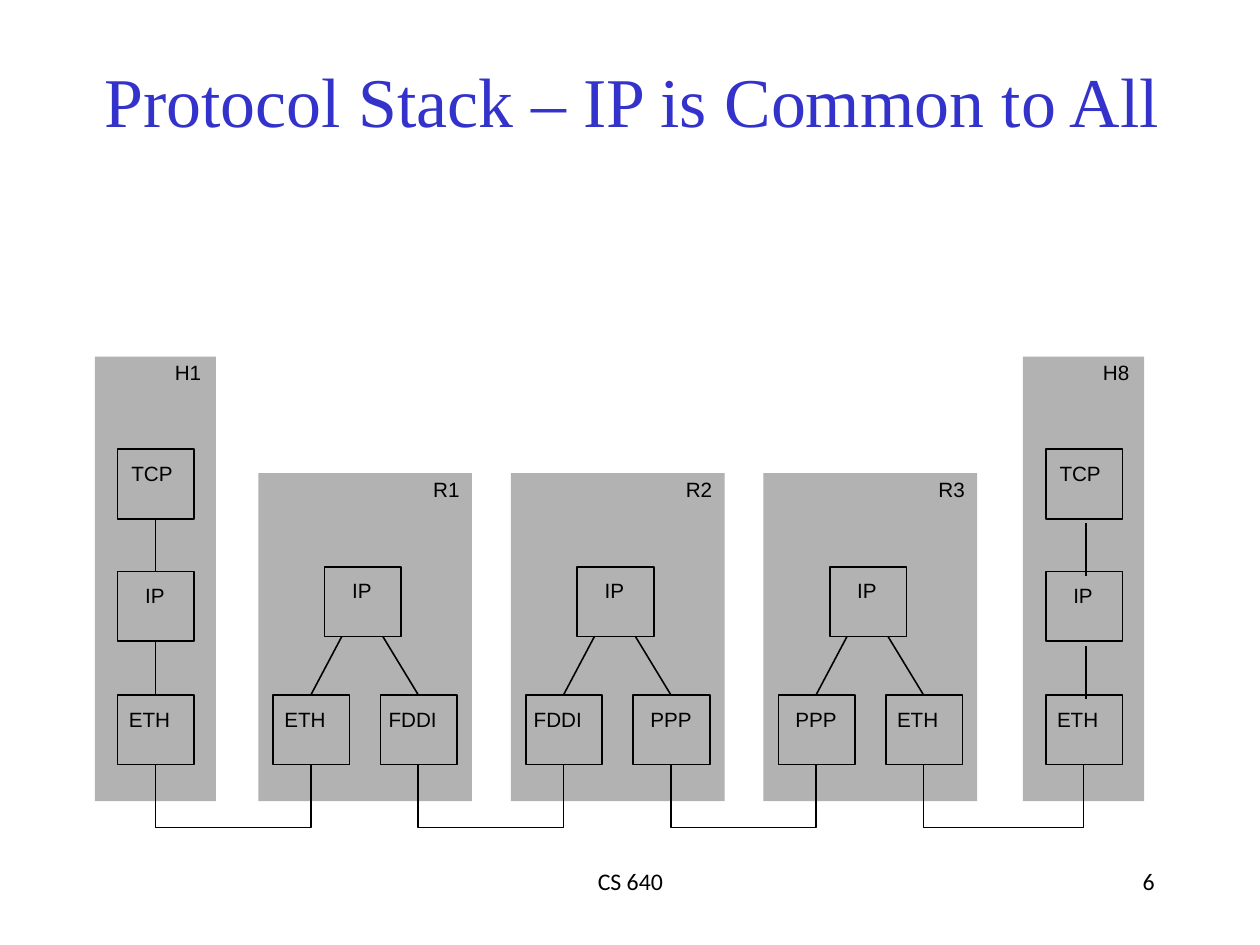
from itertools import pairwise

from lxml.etree import SubElement
from pptx import Presentation
from pptx.dml.color import RGBColor
from pptx.enum.shapes import MSO_CONNECTOR as CONN, MSO_SHAPE as SHAPE
from pptx.enum.text import MSO_ANCHOR as ANCHOR, PP_ALIGN as ALIGN
from pptx.oxml.ns import qn
from pptx.util import Mm, Pt

# Content: name, left edge, shift of the wires between layers
TITLE = "Protocol Stack – IP is Common to All "
LAYERS = ["TCP", "IP", "ETH"]
HOSTS = [("H1", 83, 0, 0), ("H8", 895, 2, 4)]
ROUTERS = [("R1", "ETH", "FDDI"), ("R2", "FDDI", "PPP"), ("R3", "PPP", "ETH")]
FOOTERS = [("CS 640", (377, 753, 349, 55), ALIGN.CENTER),
           ("6", (790, 753, 230, 55), ALIGN.RIGHT)]

COLORS = {"title": "3333CC", "text": "000000", "line": "000000", "panel": "B2B2B2"}
FORMATS = {
    "title": {"name": "Times New Roman", "size": Pt(44)},
    "label": {"name": "Arial", "size": Pt(13)},
    "footer": {"name": "Calibri", "size": Pt(15)},
}

# Layout, 100 px to the inch, on a 280 by 210 mm slide
PX = 9144
SLIDE_W, SLIDE_H = Mm(280), Mm(210)
BOX_W, BOX_H = 67, 61
LABEL_INDENT = {"TCP": 12, "IP": 24, "ETH": 10, "FDDI": 7, "PPP": 15}
HOST_TOP, HOST_W, HOST_BOX_X = 312, 106, 20
HOST_ROWS = [393, 500, 608]
ROUTER_LEFT, ROUTER_STEP, ROUTER_TOP, ROUTER_W = 226, 221, 414, 187
ROUTER_IP, ROUTER_PORTS = (58, 496), (13, 107)
PORT_CENTERS, IP_FEET = (46, 140), (73, 109)
PANEL_BOTTOM, CABLE_TOP, CABLE_BOTTOM = 701, 669, 724


def color(name):
    return RGBColor.from_string(COLORS[name])


def write(sp, text, style, align, insets, ink="text", anchor=ANCHOR.TOP):
    """Put one line of text in sp; insets are left, top, right, bottom in px."""
    tf = sp.text_frame
    frame = {"word_wrap": True, "vertical_anchor": anchor}
    sides = ("margin_left", "margin_top", "margin_right", "margin_bottom")
    frame.update(zip(sides, (n * PX for n in insets)))
    for key, value in frame.items():
        setattr(tf, key, value)
    p = tf.paragraphs[0]
    p.alignment = align
    r = p.add_run()
    r.text = text
    for key, value in FORMATS[style].items():
        setattr(r.font, key, value)
    r.font.color.rgb = color(ink)


def outline(sp):
    sp.line.color.rgb = color("line")
    sp.line.width = Pt(1)


def add_rect(x, y, w, h):
    sp = s.shapes.add_shape(SHAPE.RECTANGLE, *(n * PX for n in (x, y, w, h)))
    sp.shadow.inherit = False
    return sp


def add_panel(name, x, y, w, inset):
    sp = add_rect(x, y, w, PANEL_BOTTOM - y)
    sp.fill.solid()
    sp.fill.fore_color.rgb = color("panel")
    sp.line.fill.background()
    write(sp, name, "label", ALIGN.RIGHT, (0, 3, inset, 0))


def add_layer(name, x, y):
    sp = add_rect(x, y, BOX_W, BOX_H)
    sp.fill.background()
    outline(sp)
    write(sp, name, "label", ALIGN.LEFT, (LABEL_INDENT[name], 10, 0, 0))


def add_wire(x1, y1, x2, y2):
    sp = s.shapes.add_connector(CONN.STRAIGHT, *(n * PX for n in (x1, y1, x2, y2)))
    outline(sp)
    SubElement(sp._element.spPr, qn("a:effectLst"))


def add_cable(x1, x2):
    fb = s.shapes.build_freeform(x1, CABLE_TOP, scale=PX)
    fb.add_line_segments([(x1, CABLE_BOTTOM), (x2, CABLE_BOTTOM), (x2, CABLE_TOP)],
                         close=False)
    sp = fb.convert_to_shape()
    sp.shadow.inherit = False
    sp.fill.background()
    outline(sp)


def add_host(name, x, dx, dy):
    add_panel(name, x, HOST_TOP, HOST_W, 13)
    for layer, y in zip(LAYERS, HOST_ROWS):
        add_layer(layer, x + HOST_BOX_X, y)
    wire_x = x + HOST_W // 2 + dx
    for upper, lower in pairwise(HOST_ROWS):
        add_wire(wire_x, upper + BOX_H + dy, wire_x, lower + dy)


def add_router(name, x, links):
    add_panel(name, x, ROUTER_TOP, ROUTER_W, 11)
    ip_x, ip_y = ROUTER_IP
    add_layer("IP", x + ip_x, ip_y)
    port_y = HOST_ROWS[-1]
    for link, left, center, foot in zip(links, ROUTER_PORTS, PORT_CENTERS, IP_FEET):
        add_layer(link, x + left, port_y)
        add_wire(x + foot, ip_y + BOX_H, x + center, port_y)


prs = Presentation()
prs.slide_width, prs.slide_height = SLIDE_W, SLIDE_H
s = prs.slides.add_slide(prs.slide_layouts[5])

title = s.shapes.title
title.left, title.top, title.width, title.height = (n * PX for n in (74, 46, 974, 83))
write(title, TITLE, "title", ALIGN.CENTER, (10, 5, 10, 5), "title", ANCHOR.MIDDLE)

for host in HOSTS:
    add_host(*host)

ports = [x + HOST_W // 2 for _, x, _, _ in HOSTS]
for i, (name, *links) in enumerate(ROUTERS):
    x = ROUTER_LEFT + i * ROUTER_STEP
    add_router(name, x, links)
    ports += [x + center for center in PORT_CENTERS]

ports.sort()
for start, end in zip(ports[::2], ports[1::2]):
    add_cable(start, end)

for text, place, align in FOOTERS:
    sp = s.shapes.add_textbox(*(n * PX for n in place))
    write(sp, text, "footer", align, (10, 5, 10, 5))

prs.save("out.pptx")
